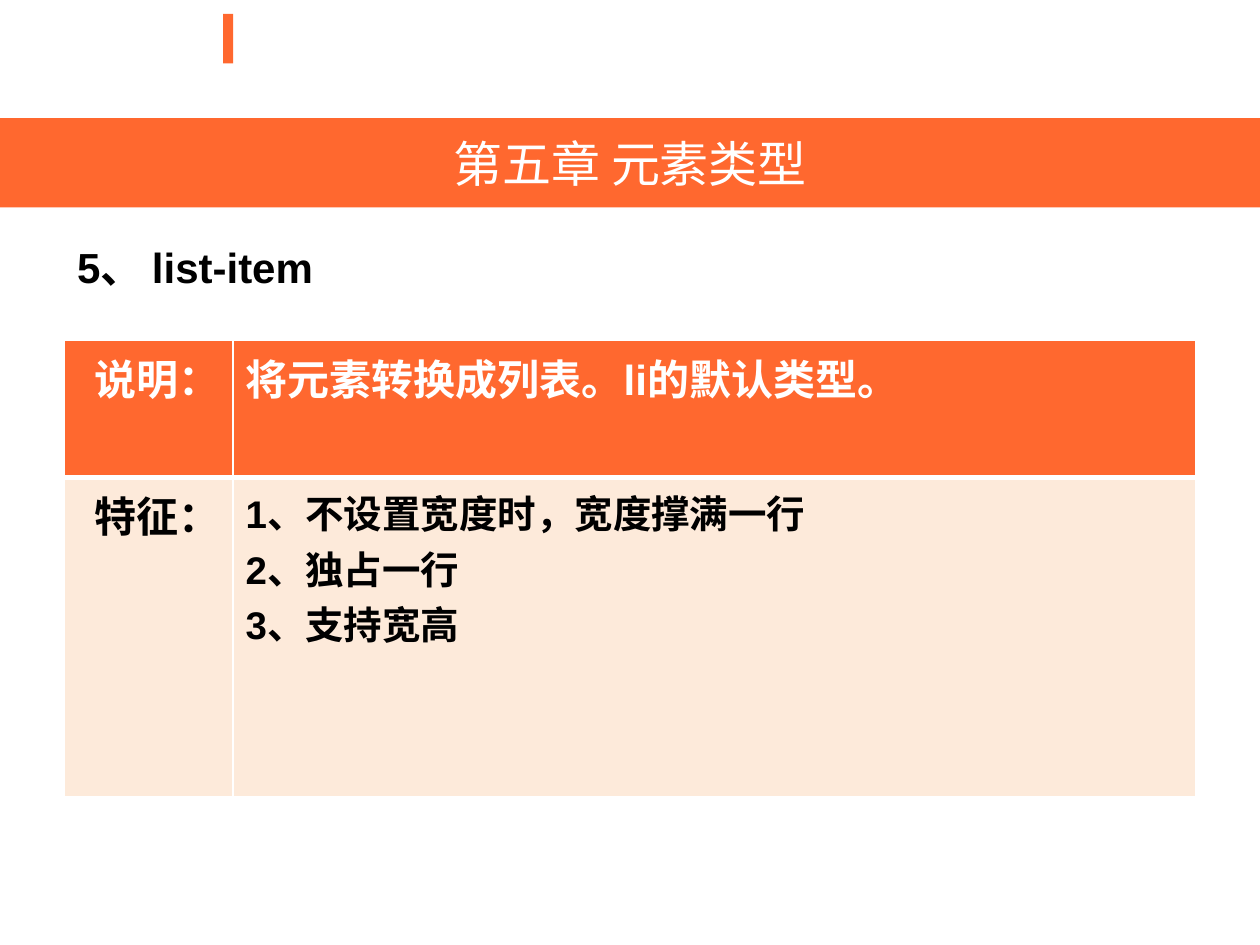
"""Build the chapter slide that explains the list-item element type."""
import lxml.etree
import pptx
import pptx.dml.color
import pptx.enum.shapes
import pptx.enum.text
import pptx.oxml.ns
import pptx.util
from pptx.util import Cm

TITLE = "第五章 元素类型"
SUBTITLE = "5、 list-item"
ROWS = [
    {"label": "说明：", "lines": ["将元素转换成列表。li的默认类型。"], "size": "heading",
     "color": "white", "fill": "orange", "height": 2.77,
     "borders": {"L": 1, "R": 1, "T": 1, "B": 3}},
    {"label": "特征：", "lines": ["1、不设置宽度时，宽度撑满一行", "2、独占一行", "3、支持宽高"],
     "size": "list", "color": "black", "fill": "peach", "height": 6.43,
     "borders": {"L": 1, "R": 1, "T": 3, "B": 1}},
]
COLUMN_WIDTHS = [3.4, 19.4]
TABLE_LEFT, TABLE_TOP = 1.3, 6.86

THEME = {
    "font": "Arial",
    "colors": {"orange": "FF682F", "peach": "FDEADA", "white": "FFFFFF", "black": "000000"},
    "sizes": {"title": 28, "heading": 24, "list": 22},
}
ALIGN = pptx.enum.text.PP_ALIGN
ANCHOR = pptx.enum.text.MSO_ANCHOR


def rgb(name):
    return pptx.dml.color.RGBColor.from_string(THEME["colors"][name])


def paint(target, color):
    target.fill.solid()
    target.fill.fore_color.rgb = rgb(color)


def place(box, left, top, width, height):
    box.left, box.top, box.width, box.height = map(Cm, (left, top, width, height))


def write(frame, lines, size="heading", color="black", bold=True, align=ALIGN.LEFT, before=0):
    frame.word_wrap = True
    for index, line in enumerate(lines):
        para = frame.paragraphs[0] if index == 0 else frame.add_paragraph()
        para.alignment = align
        para.space_before = pptx.util.Pt(before)
        span = para.add_run()
        span.text = line
        span.font.name = THEME["font"]
        span.font.size = pptx.util.Pt(THEME["sizes"][size])
        span.font.bold = bold
        span.font.color.rgb = rgb(color)


def remove_bullet(para):
    properties = para._p.get_or_add_pPr()
    properties.set("marL", "0")
    properties.set("indent", "0")
    lxml.etree.SubElement(properties, pptx.oxml.ns.qn("a:buNone"))


def add_borders(cell, widths):
    qn = pptx.oxml.ns.qn
    properties = cell._tc.get_or_add_tcPr()
    for side, width in widths.items():
        line = lxml.etree.SubElement(properties, qn(f"a:ln{side}"), w=str(pptx.util.Pt(width)))
        fill = lxml.etree.SubElement(line, qn("a:solidFill"))
        lxml.etree.SubElement(fill, qn("a:srgbClr"), val=THEME["colors"]["white"])


def add_table(page):
    heights = [row["height"] for row in ROWS]
    frame = page.shapes.add_table(
        len(ROWS), len(COLUMN_WIDTHS), Cm(TABLE_LEFT), Cm(TABLE_TOP),
        Cm(sum(COLUMN_WIDTHS)), Cm(sum(heights)))
    table = frame.table
    for column, width in zip(table.columns, COLUMN_WIDTHS):
        column.width = Cm(width)
    for table_row, row in zip(table.rows, ROWS):
        table_row.height = Cm(row["height"])
        label, detail = table_row.cells
        for cell in (label, detail):
            add_borders(cell, row["borders"])
            paint(cell, row["fill"])
        write(label.text_frame, [row["label"]], color=row["color"], align=ALIGN.RIGHT)
        write(detail.text_frame, row["lines"], size=row["size"], color=row["color"])


def main():
    deck = pptx.Presentation()
    deck.slide_width, deck.slide_height = Cm(25.4), Cm(19.05)
    page = deck.slides.add_slide(deck.slide_layouts[1])

    title, body = page.shapes.title, page.placeholders[1]
    place(title, 0, 2.38, 25.4, 1.8)
    paint(title, "orange")
    title.text_frame.vertical_anchor = ANCHOR.MIDDLE
    write(title.text_frame, [TITLE], size="title", color="white", bold=False, align=ALIGN.CENTER)

    place(body, 1.3, 4.75, 22.86, 12)
    write(body.text_frame, [SUBTITLE], before=6)
    remove_bullet(body.text_frame.paragraphs[0])
    for box in (title, body):
        box.text_frame.auto_size = pptx.enum.text.MSO_AUTO_SIZE.NONE

    accent = page.shapes.add_shape(
        pptx.enum.shapes.MSO_SHAPE.RECTANGLE, Cm(4.5), Cm(0.28), Cm(0.2), Cm(1))
    accent.shadow.inherit = False
    accent.line.fill.background()
    paint(accent, "orange")

    add_table(page)
    deck.save("out.pptx")


if __name__ == "__main__":
    main()
